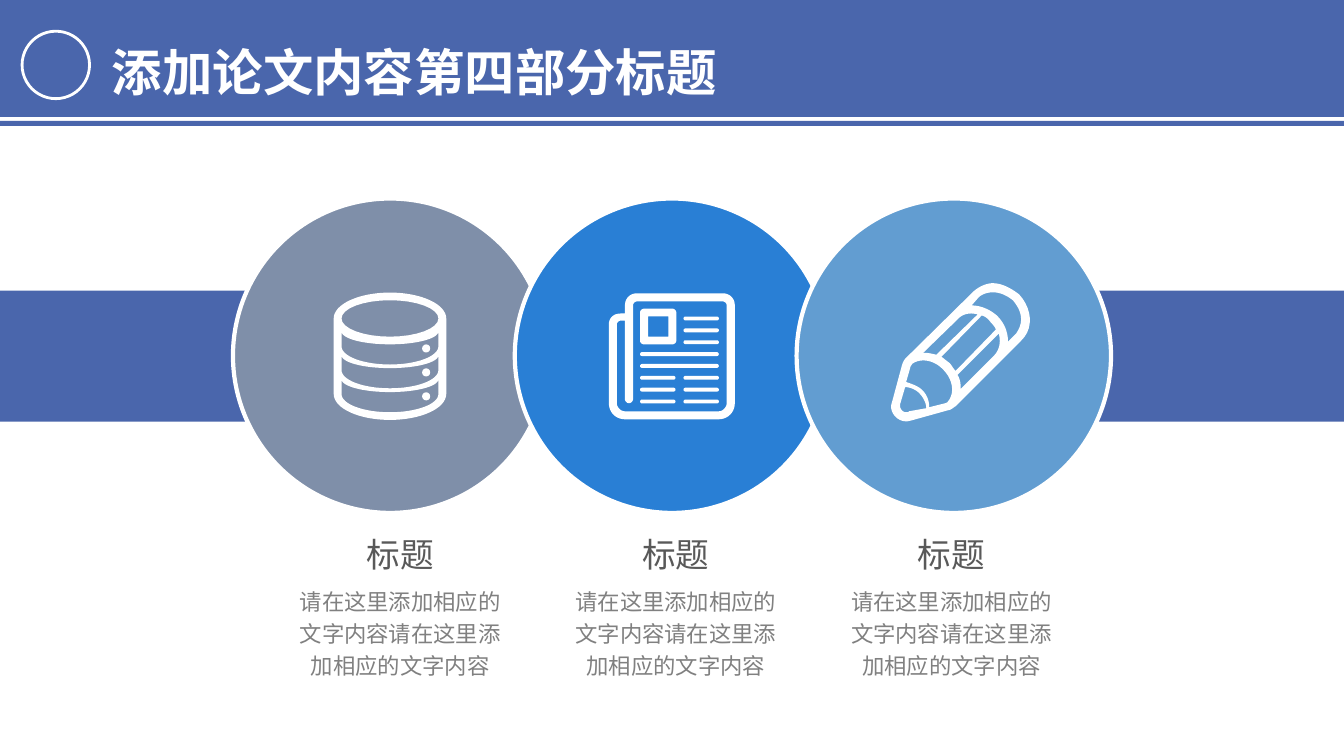
import math

import pptx
import pptx.dml.color
import pptx.enum.shapes
import pptx.enum.text
import pptx.oxml.ns
import pptx.util
from lxml import etree

Pt = pptx.util.Pt
RGBColor = pptx.dml.color.RGBColor
MSO_SHAPE = pptx.enum.shapes.MSO_SHAPE
PP_ALIGN = pptx.enum.text.PP_ALIGN
MSO_ANCHOR = pptx.enum.text.MSO_ANCHOR
MSO_AUTO_SIZE = pptx.enum.text.MSO_AUTO_SIZE

WHITE = RGBColor(0xFF, 0xFF, 0xFF)
NAVY = RGBColor(0x4A, 0x66, 0xAC)
SLATE = RGBColor(0x7F, 0x8F, 0xA9)
BLUE = RGBColor(0x29, 0x7F, 0xD5)
SKY = RGBColor(0x62, 0x9D, 0xD1)
DARK_GRAY = RGBColor(0x59, 0x59, 0x59)
GRAY = RGBColor(0x80, 0x80, 0x80)

FONT = "Noto Sans CJK SC"
WIDTH, HEIGHT = 960, 540

# Contours: a pair is a straight step, six numbers are a cubic curve
NEWSPAPER = [
    [(516.2, 209.5), (455, 209.5), (450, 209.5, 446.4, 213.1, 446.4, 218.2),
     (446.4, 223.9), (443.5, 223.9), (438.5, 223.9, 434.9, 226.8, 434.9, 231.8),
     (434.9, 288), (434.9, 294.5, 439.9, 299.5, 446.4, 299.5),
     (513.4, 299.5), (519.8, 299.5, 524.9, 294.5, 524.9, 288),
     (524.9, 218.2), (524.9, 213.1, 521.3, 209.5, 516.2, 209.5)],
    [(519.1, 288), (519.1, 290.9, 516.2, 293.8, 513.4, 293.8),
     (446.4, 293.8), (443.5, 293.8, 440.6, 290.9, 440.6, 288),
     (440.6, 231.8), (440.6, 230.4, 442.1, 229, 443.5, 229),
     (446.4, 229), (446.4, 285.1), (446.4, 286.6, 447.8, 288, 449.3, 288),
     (450.7, 288, 452.2, 286.6, 452.2, 285.1),
     (452.2, 218.2), (452.2, 216.7, 453.6, 215.3, 455, 215.3),
     (516.2, 215.3), (517.7, 215.3, 519.1, 216.7, 519.1, 218.2)],
]
PHOTO = [
    [(460.1, 246), (480.2, 246), (481.7, 246, 483.1, 244.8, 483.1, 243.4),
     (483.1, 223.2), (483.1, 221.8, 481.7, 220.5, 480.2, 220.5),
     (460.1, 220.5), (458.6, 220.5, 457.2, 221.8, 457.2, 223.2),
     (457.2, 243.4), (457.2, 244.8, 458.6, 246, 460.1, 246)],
    [(463, 226.1), (477.4, 226.1), (477.4, 240.5), (463, 240.5)],
]
PENCIL = [
    [(727.9, 210.2), (722.2, 205.9, 715.7, 202.3, 709.2, 202.3),
     (704.2, 202.3, 698.4, 205.2, 694.8, 208.8),
     (647.3, 255.6), (645.8, 257, 645.1, 258.5, 644.4, 260.6),
     (637.2, 287.3), (637.2, 287.3, 636.5, 289.4, 636.5, 290.2),
     (636.5, 295.9, 641.5, 301, 647.3, 301),
     (648.7, 301, 651.6, 300.2, 651.6, 300.2),
     (677.5, 293), (679, 293, 680.4, 291.6, 682.6, 290.2),
     (729.4, 243.4), (738.7, 234.7, 737.3, 220.3, 727.9, 210.2)],
    [(686.2, 275.8), (686.2, 272.9, 685.4, 270, 684, 267.8),
     (713.5, 238.3), (715, 244.1, 714.2, 249.8, 709.9, 254.2), (686.2, 277.9)],
    [(682.6, 265), (681.1, 263.5, 679.7, 260.6, 678.2, 259.2),
     (676.1, 257.8, 674.6, 256.3, 672.5, 254.9),
     (701.3, 225.4), (704.2, 226.1, 706.3, 228.2, 707.8, 230.4),
     (709.2, 231.8, 710.6, 233.3, 711.4, 235.4)],
    [(668.9, 253.4), (666, 252.7, 663.1, 252, 659.5, 252),
     (684, 228.2), (687.6, 223.9, 693.4, 223.2, 698.4, 224.6)],
    [(649.4, 293.8), (648.7, 294.5, 648, 294.5, 647.3, 294.5),
     (645.1, 294.5, 643, 292.3, 643, 290.2), (643, 288.7),
     (646.6, 276.5), (649.4, 276.5, 653.8, 277.9, 656.6, 280.8),
     (659.5, 283.7, 661.7, 288, 661.7, 291.6)],
    [(663.8, 290.9), (663.8, 286.6, 662.4, 282.2, 658.8, 278.6),
     (655.9, 275.8, 651.6, 274.3, 647.3, 272.9),
     (650.2, 262.8), (650.2, 261.4, 651.6, 260.6, 651.6, 259.9),
     (657.4, 255.6, 667.4, 257, 673.9, 264.2),
     (680.4, 270.7, 682.6, 280.8, 676.8, 287.3), (675.4, 288)],
    [(725.8, 238.3), (720, 244.1), (720, 241.9),
     (719.3, 235.4, 717.1, 230.4, 712.1, 225.4),
     (707, 221, 700.6, 218.2, 694.1, 218.2),
     (699.1, 212.4), (701.3, 210.2, 705.6, 208.8, 709.2, 208.8),
     (714.2, 208.8, 719.3, 211, 723.6, 214.6),
     (727.2, 218.9, 729.4, 223.2, 729.4, 228.2),
     (729.4, 231.8, 727.9, 235.4, 725.8, 238.3)],
]


def arc(cx, cy, rx, ry, start, end):
    """Points of an elliptical arc, angles in degrees, clockwise on the slide."""
    angles = [math.radians(start + (end - start) * i / 32) for i in range(33)]
    return [(cx + rx * math.cos(a), cy + ry * math.sin(a)) for a in angles]


def flatten(contour):
    """Turn the cubic steps of a contour into short straight ones."""
    points = [contour[0]]
    for step in contour[1:]:
        if len(step) == 2:
            points.append(step)
            continue
        x0, y0 = points[-1]
        x1, y1, x2, y2, x3, y3 = step
        for i in range(1, 11):
            t, u = i / 10, 1 - i / 10
            weights = (u ** 3, 3 * u * u * t, 3 * u * t * t, t ** 3)
            points.append((sum(w * x for w, x in zip(weights, (x0, x1, x2, x3))),
                           sum(w * y for w, y in zip(weights, (y0, y1, y2, y3)))))
    return points


class Deck:
    def __init__(self):
        self.prs = pptx.Presentation()
        self.prs.slide_width, self.prs.slide_height = Pt(WIDTH), Pt(HEIGHT)
        self.s = self.prs.slides.add_slide(self.prs.slide_layouts[5])

    def paint(self, sp, fill, line):
        sp.shadow.inherit = False
        sp.fill.solid()
        sp.fill.fore_color.rgb = fill
        if line:
            sp.line.color.rgb = WHITE
            sp.line.width = Pt(line)
        else:
            sp.line.fill.background()

    def shape(self, kind, x, y, w, h, fill, line=0):
        sp = self.s.shapes.add_shape(kind, Pt(x), Pt(y), Pt(w), Pt(h))
        self.paint(sp, fill, line)
        return sp

    def bar(self, x, y, w, h):
        self.shape(MSO_SHAPE.ROUNDED_RECTANGLE, x, y, w, h, WHITE).adjustments[0] = 0.5

    def outline(self, contours):
        outlines = [[(Pt(x), Pt(y)) for x, y in flatten(c)] for c in contours]
        fb = self.s.shapes.build_freeform(*outlines[0][0])
        fb.add_line_segments(outlines[0][1:])
        for points in outlines[1:]:
            fb.move_to(*points[0])
            fb.add_line_segments(points[1:])
        self.paint(fb.convert_to_shape(), WHITE, 0)

    def set_text(self, sp, text, size, color, align, spacing=1.0, bold=False):
        tf = sp.text_frame
        tf.word_wrap = True
        tf.vertical_anchor = MSO_ANCHOR.TOP
        p = tf.paragraphs[0]
        p.text, p.alignment, p.line_spacing = text, align, spacing
        p.font.name, p.font.size, p.font.bold = FONT, Pt(size), bold
        p.font.color.rgb = color
        r_pr = p._p.pPr.find(pptx.oxml.ns.qn("a:defRPr"))
        etree.SubElement(r_pr, pptx.oxml.ns.qn("a:ea")).set("typeface", FONT)
        return tf

    def text(self, x, y, w, h, *style):
        return self.set_text(self.s.shapes.add_textbox(Pt(x), Pt(y), Pt(w), Pt(h)), *style)

    def title(self, x, y, w, h, text):
        sp = self.s.shapes.title
        sp.left, sp.top, sp.width, sp.height = Pt(x), Pt(y), Pt(w), Pt(h)
        tf = self.set_text(sp, text, 36, WHITE, PP_ALIGN.LEFT, 1.5, True)
        tf.auto_size = MSO_AUTO_SIZE.SHAPE_TO_FIT_TEXT
        self.s.shapes.element.append(sp.element)  # in front of the header band


def main():
    d = Deck()

    # Header
    d.shape(MSO_SHAPE.RECTANGLE, 0, 0, WIDTH, 83.5, NAVY)
    d.shape(MSO_SHAPE.OVAL, 15.8, 22.3, 48.2, 48.2, NAVY, 2)
    d.title(72.7, 4.3, 449.3, 66.2, "添加论文内容第四部分标题")
    d.shape(MSO_SHAPE.RECTANGLE, 0, 86.4, WIDTH, 3.6, NAVY)

    # Side bands and circles
    for x in (WIDTH - 246.2, 0):
        d.shape(MSO_SHAPE.RECTANGLE, x, 207.6, 246.2, 93.6, NAVY)
    for i, color in enumerate((SLATE, BLUE, SKY)):
        d.shape(MSO_SHAPE.OVAL, 166.4 + 201.3 * i, 141.8, 224.6, 224.6, color, 3)

    # Newspaper icon
    d.outline(NEWSPAPER)
    d.outline(PHOTO)
    left, right, column, full = 457.2, 488.2, 25.3, 56.3
    rows = [[(right, column)]] * 3 + [[(left, full)]] * 2 + [[(left, column), (right, column)]] * 3
    for i, row in enumerate(rows):
        for x, w in row:
            d.bar(x, 226.1 + 8.47 * i, w, 2.8)

    # Pencil icon
    d.outline(PENCIL)

    # Database icon
    cx, lid, rx = 278.6, 227.5, 34.6
    body = arc(cx, lid, 40.2, 18.5, 180, 360) + arc(cx, 281.5, 40.2, 18.5, 0, 180)
    tiers = [arc(cx, y, rx, 13, 0, 180) + arc(cx, y - 10.6, rx, 9.2, 180, 0)
             for y in (247.4, 264.4, 281.5)]
    d.outline([body, arc(cx, lid, rx, 13, 0, 360)] + tiers)
    for i in range(3):
        d.shape(MSO_SHAPE.OVAL, 301.5, 246 + 17.1 * i, 5.8, 5.8, WHITE)

    # Captions
    for i in range(3):
        x = 203.8 + 196.9 * i
        tf = d.text(x + 29.5, 367.9, 105.1, 56.2, "标题", 24, DARK_GRAY, PP_ALIGN.CENTER)
        tf.vertical_anchor = MSO_ANCHOR.MIDDLE
        d.text(x, 412.6, 164.2, 77, "请在这里添加相应的文字内容请在这里添加相应的文字内容",
               16, GRAY, PP_ALIGN.CENTER, 1.2)

    d.prs.save("out.pptx")


if __name__ == "__main__":
    main()
